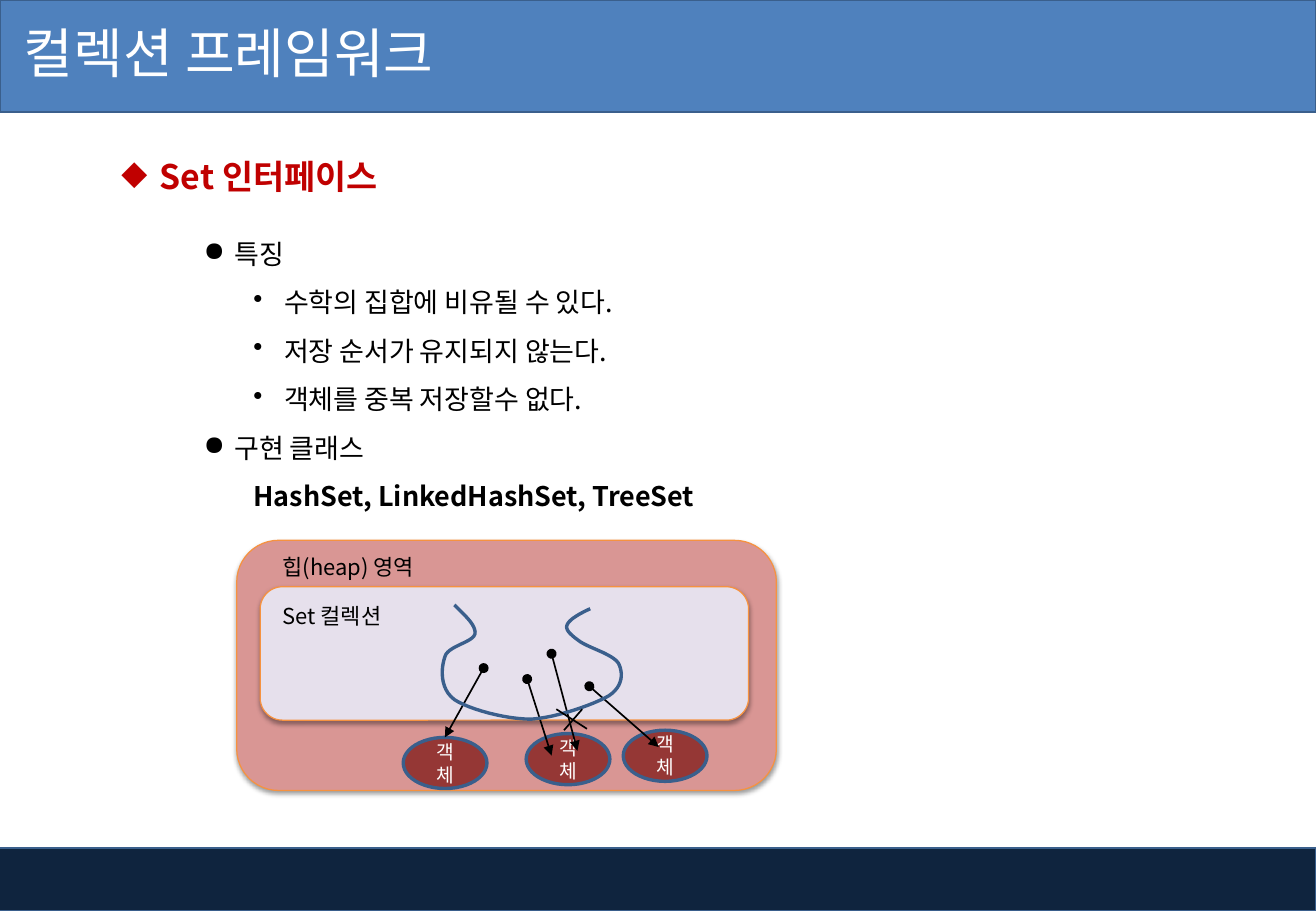
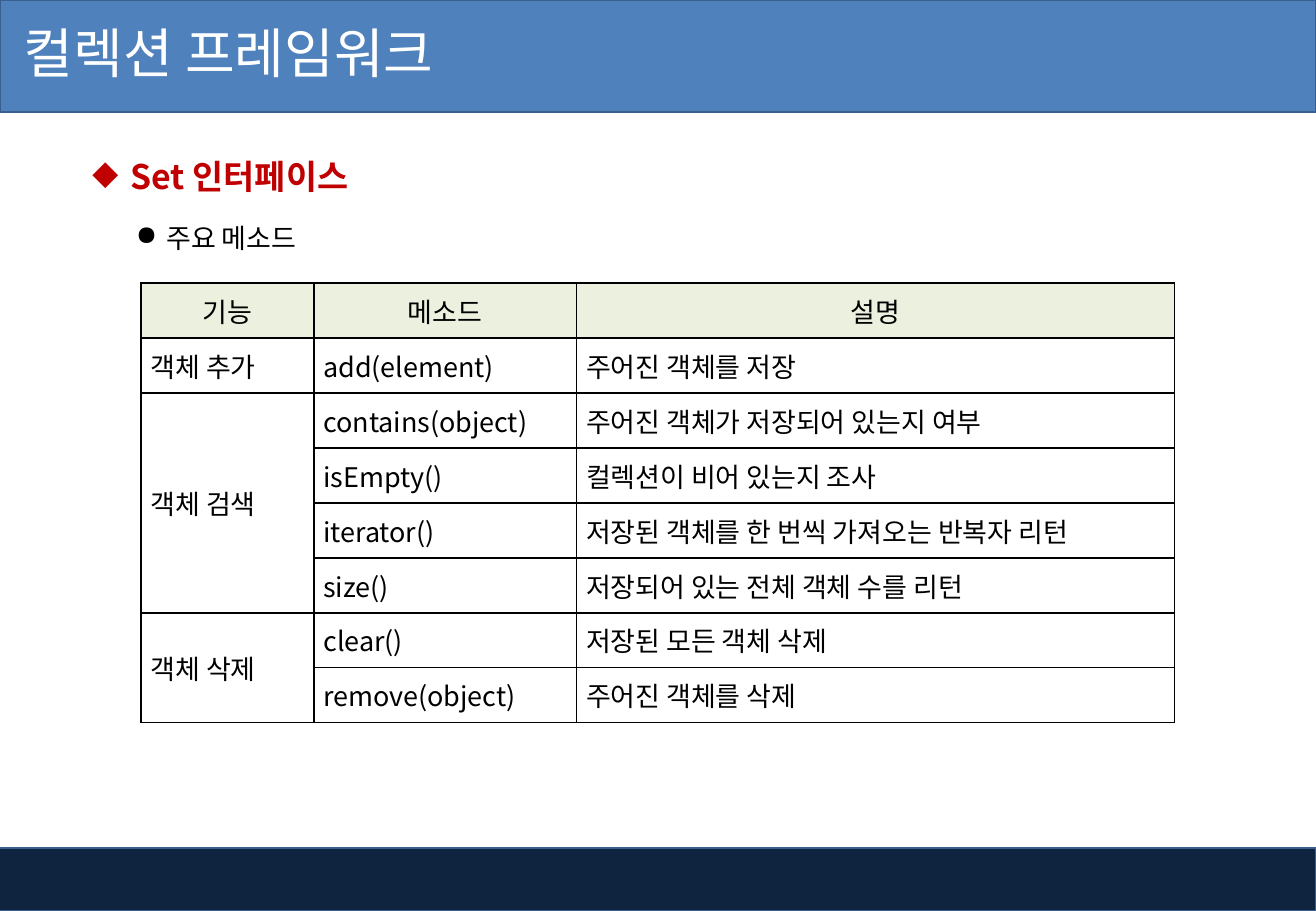
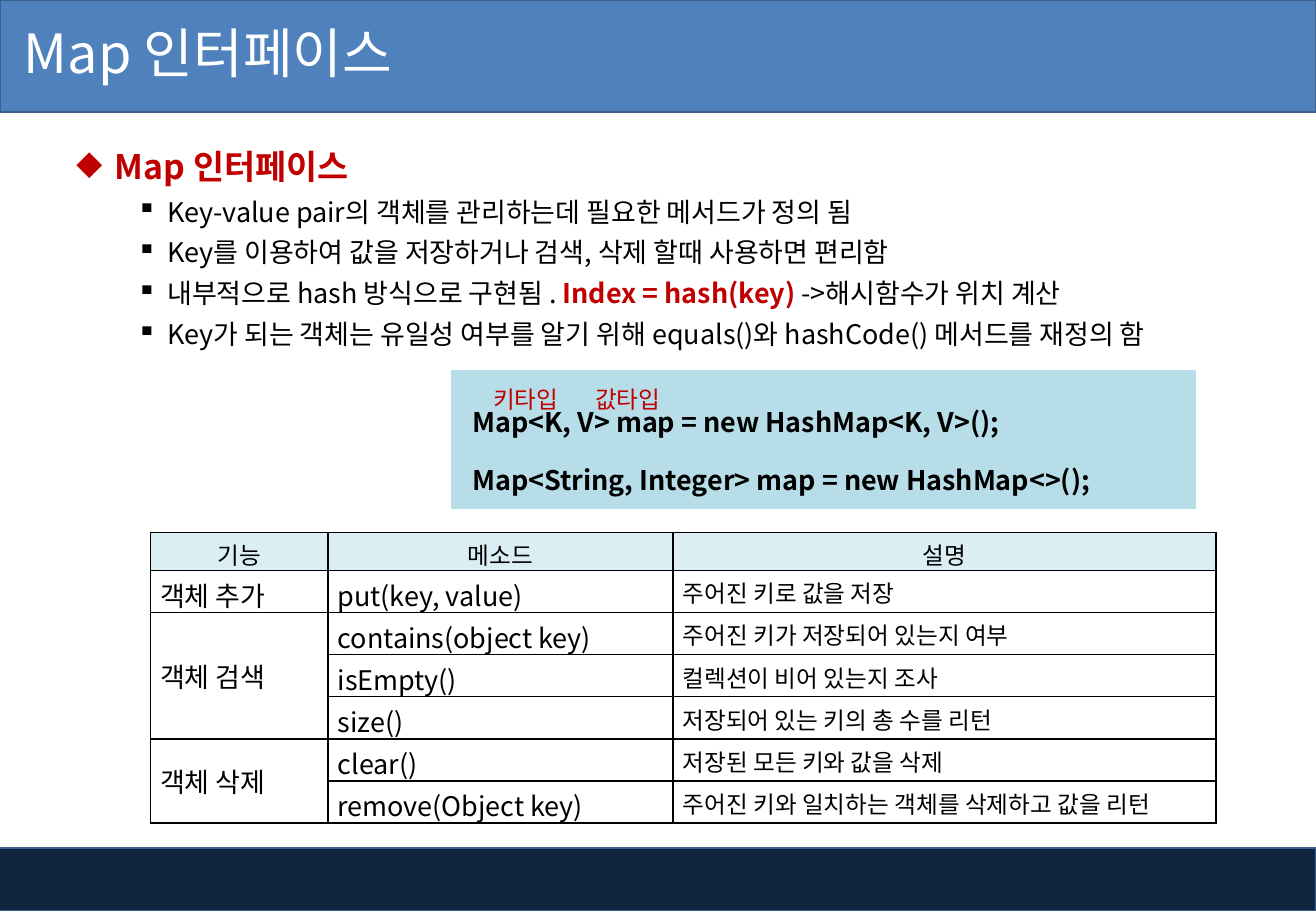
from lxml import etree
from pptx import Presentation
from pptx import util as u
from pptx.dml.color import RGBColor
from pptx.enum import shapes as es, text as et
from pptx.oxml import ns

Cm, Pt = u.Cm, u.Pt
FONT = "Noto Sans CJK KR"
BLACK = RGBColor(0x00, 0x00, 0x00)
WHITE = RGBColor(0xFF, 0xFF, 0xFF)
RED = RGBColor(0xC0, 0x00, 0x00)
HEADER_BLUE = RGBColor(0x4F, 0x81, 0xBD)
FOOTER_NAVY = RGBColor(0x0F, 0x24, 0x3E)
EDGE_BLUE = RGBColor(0x3A, 0x5F, 0x8C)
EDGE_ORANGE = RGBColor(0xF6, 0x92, 0x40)
HEAP_PINK = RGBColor(0xD9, 0x96, 0x94)
SET_LILAC = RGBColor(0xE6, 0xE0, 0xEC)
OBJECT_RED = RGBColor(0x95, 0x37, 0x35)
HEAD_GREEN = RGBColor(0xEB, 0xF1, 0xDE)
HEAD_CYAN = RGBColor(0xDB, 0xEE, 0xF4)
CODE_CYAN = RGBColor(0xB7, 0xDE, 0xE8)
SLIDE_W, SLIDE_H = 27.51, 19.05
CENTER = et.PP_ALIGN.CENTER

HEADING = dict(size=20, color=RED, bold=True, bullet="◆", left=0.8, hang=0.8, spacing=1.5)
POINT = dict(bullet="●", left=0.64, hang=0.64)


def child(parent, tag, **attributes):
    return etree.SubElement(parent, ns.qn(tag), attributes)


# Text
def write(paragraph, content, size=16, color=BLACK, bold=False, align=None,
          spacing=None, before=0, bullet=None, left=0, hang=0):
    """Fill a paragraph with a string, or with (string, overrides) runs."""
    if left:
        properties = paragraph._p.get_or_add_pPr()
        properties.set("marL", str(Cm(left)))
        properties.set("indent", str(-Cm(hang)))
        if bullet:
            child(properties, "a:buChar", char=bullet)
    if align is not None:
        paragraph.alignment = align
    if spacing:
        paragraph.line_spacing = spacing
    if before:
        paragraph.space_before = Pt(before)
    for string, changes in [(content, {})] if isinstance(content, str) else content:
        run = paragraph.add_run()
        run.text = string
        run.font.size = Pt(size)
        run.font.bold = changes.get("bold", bold)
        run.font.color.rgb = changes.get("color", color)
        run.font.name = FONT
        child(run._r.get_or_add_rPr(), "a:ea", typeface=FONT)


def write_all(frame, items):
    for index, (content, style) in enumerate(items):
        paragraph = frame.add_paragraph() if index else frame.paragraphs[0]
        write(paragraph, content, **style)


def text_box(slide, box, *items):
    frame = slide.shapes.add_textbox(*map(Cm, box)).text_frame
    frame.word_wrap = True
    write_all(frame, items)


# Shapes and lines
def block(slide, kind, box, fill, edge, width, shadow=False):
    shape = slide.shapes.add_shape(kind, *map(Cm, box))
    shape.shadow.inherit = False
    shape.fill.solid()
    shape.fill.fore_color.rgb = fill
    shape.line.color.rgb = edge
    shape.line.width = Pt(width)
    if shadow:
        effects = shape._element.spPr.find(ns.qn("a:effectLst"))
        outer = child(effects, "a:outerShdw", blurRad=str(Pt(3.1)), dist=str(Pt(1.6)),
                      dir="5400000", rotWithShape="0")
        child(child(outer, "a:srgbClr", val=str(BLACK)), "a:alpha", val="38000")
    return shape


def straight(slide, start, end, arrow=False):
    line = slide.shapes.add_connector(es.MSO_CONNECTOR.STRAIGHT, *map(Cm, start + end))
    line.line.color.rgb = BLACK
    line.line.width = Pt(1)
    if arrow:
        child(line.line._get_or_add_ln(), "a:headEnd", type="oval")
        child(line.line._get_or_add_ln(), "a:tailEnd", type="triangle")
    child(line._element.spPr, "a:effectLst")


def curve(slide, start, segments, steps=12):
    """Open outline through cubic segments (control, control, end)."""
    points, origin = [], start
    for c1, c2, end in segments:
        for t in (step / steps for step in range(1, steps + 1)):
            s = 1 - t
            points.append(tuple(
                Cm(s**3 * a + 3 * s * s * t * b + 3 * s * t * t * c + t**3 * d)
                for a, b, c, d in zip(origin, c1, c2, end)))
        origin = end
    builder = slide.shapes.build_freeform(*map(Cm, start))
    builder.add_line_segments(points, close=False)
    outline = builder.convert_to_shape()
    outline.shadow.inherit = False
    outline.fill.background()
    outline.line.color.rgb = EDGE_BLUE
    outline.line.width = Pt(2)


# Tables
def style_cell(cell, fill=None, edge=BLACK, bottom=1, left=0.2):
    cell.margin_left, cell.margin_right = Cm(left), Cm(0.2)
    cell.margin_top = cell.margin_bottom = Cm(0.1)
    cell.vertical_anchor = et.MSO_ANCHOR.MIDDLE
    for side in "LRTB":
        width = bottom if side == "B" else 1
        line = child(cell._tc.get_or_add_tcPr(), f"a:ln{side}", w=str(Pt(width)))
        child(child(line, "a:solidFill"), "a:srgbClr", val=str(edge))
    if fill is None:
        cell.fill.background()
    else:
        cell.fill.solid()
        cell.fill.fore_color.rgb = fill


def grid(slide, corner, widths, heights):
    table = slide.shapes.add_table(len(heights), len(widths), *map(
        Cm, (*corner, sum(widths), sum(heights)))).table
    table.first_row = table.horz_banding = False
    for column, width in zip(table.columns, widths):
        column.width = Cm(width)
    for row, height in zip(table.rows, heights):
        row.height = Cm(height)
    return table


def method_table(slide, corner, widths, head_height, row_height, head_fill, side_size, groups):
    """Method list; the first column spans the rows of each group."""
    count = sum(len(methods) for _, methods in groups)
    table = grid(slide, corner, widths, [head_height] + [row_height] * count)
    for index, row in enumerate(table.rows):
        for cell in row.cells:
            style_cell(cell, None if index else head_fill)
    for column, title in enumerate(("기능", "메소드", "설명")):
        write(table.cell(0, column).text_frame.paragraphs[0], title, size=side_size, align=CENTER)
    top = 1
    for purpose, methods in groups:
        first = table.cell(top, 0)
        if len(methods) > 1:
            first.merge(table.cell(top + len(methods) - 1, 0))
        write(first.text_frame.paragraphs[0], purpose)
        for row, (method, meaning) in enumerate(methods, top):
            write(table.cell(row, 1).text_frame.paragraphs[0], method)
            write(table.cell(row, 2).text_frame.paragraphs[0], meaning, size=side_size)
        top += len(methods)


# Shared frame: footer band, header band, title
def new_slide(deck, title):
    slide = deck.slides.add_slide(deck.slide_layouts[6])
    rectangle = es.MSO_SHAPE.RECTANGLE
    block(slide, rectangle, (-0.1, 17.73, SLIDE_W + 0.1, 1.32), FOOTER_NAVY, EDGE_BLUE, 1)
    block(slide, rectangle, (0, 0, SLIDE_W, 2.34), HEADER_BLUE, EDGE_BLUE, 1)
    text_box(slide, (0.25, 0.28, 17.2, 2.39), (title, dict(size=32, color=WHITE)))
    return slide


def heap_diagram(slide):
    rounded = es.MSO_SHAPE.ROUNDED_RECTANGLE
    block(slide, rounded, (4.95, 11.3, 11.28, 5.23), HEAP_PINK, EDGE_ORANGE, 0.75, shadow=True)
    block(slide, rounded, (5.44, 12.27, 10.21, 2.79), SET_LILAC, EDGE_ORANGE, 0.75, shadow=True)
    for top, label in ((11.46, "힙(heap) 영역"), (12.47, "Set 컬렉션")):
        text_box(slide, (5.66, top, 4, 0.81), (label, dict(size=13)))
    # Stored objects
    for left, top in ((8.43, 15.42), (11, 15.34), (13.03, 15.27)):
        stored = block(slide, es.MSO_SHAPE.OVAL, (left, top, 1.75, 1.07), OBJECT_RED, EDGE_BLUE, 2)
        stored.text_frame.word_wrap = True
        stored.text_frame.vertical_anchor = et.MSO_ANCHOR.MIDDLE
        write(stored.text_frame.paragraphs[0], "객체", size=11.4, color=WHITE, align=CENTER)
    # References to the objects
    for start, end in (((10.11, 13.97), (9.3, 15.42)), ((11.02, 14.2), (11.53, 15.8)),
                       ((11.53, 13.67), (12.07, 15.7)), ((12.32, 14.35), (13.77, 15.62))):
        straight(slide, start, end, arrow=True)
    # Pouch
    curve(slide, (9.5, 12.65), [
        ((9.73, 12.88), (9.96, 13.08), (9.93, 13.26)),
        ((9.88, 13.44), (9.35, 13.51), (9.3, 13.74)),
        ((9.22, 13.97), (9.19, 14.4), (9.5, 14.63)),
        ((9.8, 14.83), (10.57, 15.04), (11.1, 15.04)),
        ((11.63, 15.01), (12.42, 14.73), (12.73, 14.55)),
        ((13.03, 14.35), (13.03, 14.07), (12.93, 13.87)),
        ((12.8, 13.67), (12.27, 13.54), (12.09, 13.39)),
        ((11.91, 13.26), (11.81, 13.16), (11.86, 13.06)),
        ((11.91, 12.95), (12.12, 12.83), (12.34, 12.73)),
    ])
    # Cross on the duplicate reference
    straight(slide, (12.17, 14.83), (11.79, 15.27))
    straight(slide, (12.27, 15.24), (11.63, 14.83))


def set_features(deck):
    slide = new_slide(deck, "컬렉션 프레임워크")
    text_box(slide, (2.29, 2.72, 8.33, 1.8), ("Set 인터페이스", HEADING))
    point = dict(POINT, spacing=1.5)
    detail = dict(bullet="•", left=1.68, hang=0.64, spacing=1.5)
    text_box(slide, (4.01, 4.5, 18.57, 6.4),
             ("특징", point),
             ("수학의 집합에 비유될 수 있다.", detail),
             ("저장 순서가 유지되지 않는다.", detail),
             ("객체를 중복 저장할수 없다.", detail),
             ("구현 클래스", point),
             ("HashSet, LinkedHashSet, TreeSet", dict(left=1.04, spacing=1.5, bold=True)))
    heap_diagram(slide)


def set_methods(deck):
    slide = new_slide(deck, "컬렉션 프레임워크")
    text_box(slide, (1.68, 2.72, 8.33, 1.8), ("Set 인터페이스", HEADING))
    text_box(slide, (2.59, 4.5, 11.35, 1.63), ("주요 메소드", POINT))
    method_table(slide, (2.95, 5.92), (3.61, 5.49, 12.5), 1.15, 1.15, HEAD_GREEN, 16, [
        ("객체 추가", [("add(element)", "주어진 객체를 저장")]),
        ("객체 검색", [("contains(object)", "주어진 객체가 저장되어 있는지 여부"),
                   ("isEmpty()", "컬렉션이 비어 있는지 조사"),
                   ("iterator()", "저장된 객체를 한 번씩 가져오는 반복자 리턴"),
                   ("size()", "저장되어 있는 전체 객체 수를 리턴")]),
        ("객체 삭제", [("clear()", "저장된 모든 객체 삭제"),
                   ("remove(object)", "주어진 객체를 삭제")]),
    ])


def map_interface(deck):
    slide = new_slide(deck, "Map 인터페이스")
    # Code panel with type labels
    code = grid(slide, (9.42, 7.72), [15.6], [2.97]).cell(0, 0)
    style_cell(code, CODE_CYAN, edge=WHITE, bottom=3, left=0.45)
    code_style = dict(bold=True, spacing=1.5)
    write_all(code.text_frame, [("Map<K, V> map = new HashMap<K, V>();", code_style),
                                ("Map<String, Integer> map = new HashMap<>();", code_style)])
    for left, width, label in ((9.6, 2.79, "키타입"), (11.98, 2.29, "값타입")):
        text_box(slide, (left, 7.92, width, 0.86),
                 (label, dict(size=14, color=RED, align=CENTER)))
    # Description
    detail = dict(bullet="▪", left=1.9, hang=0.64, before=5)
    text_box(slide, (1.35, 2.51, 25.81, 7.01),
             ("Map 인터페이스", HEADING),
             ("Key-value pair의 객체를 관리하는데 필요한 메서드가 정의 됨", detail),
             ("Key를 이용하여 값을 저장하거나 검색, 삭제 할때 사용하면 편리함", detail),
             ([("내부적으로 hash 방식으로 구현됨 . ", {}),
               ("Index = hash(key) ", dict(color=RED, bold=True)),
               ("->해시함수가 위치 계산", {})], detail),
             ("Key가 되는 객체는 유일성 여부를 알기 위해 equals()와 hashCode() 메서드를 재정의 함",
              detail))
    method_table(slide, (3.15, 11.13), (3.71, 7.21, 11.35), 0.8, 0.88, HEAD_CYAN, 14, [
        ("객체 추가", [("put(key, value)", "주어진 키로 값을 저장")]),
        ("객체 검색", [("contains(object key)", "주어진 키가 저장되어 있는지 여부"),
                   ("isEmpty()", "컬렉션이 비어 있는지 조사"),
                   ("size()", "저장되어 있는 키의 총 수를 리턴")]),
        ("객체 삭제", [("clear()", "저장된 모든 키와 값을 삭제"),
                   ("remove(Object key)", "주어진 키와 일치하는 객체를 삭제하고 값을 리턴")]),
    ])


def main():
    deck = Presentation()
    deck.slide_width, deck.slide_height = Cm(SLIDE_W), Cm(SLIDE_H)
    set_features(deck)
    set_methods(deck)
    map_interface(deck)
    deck.save("out.pptx")


if __name__ == "__main__":
    main()
